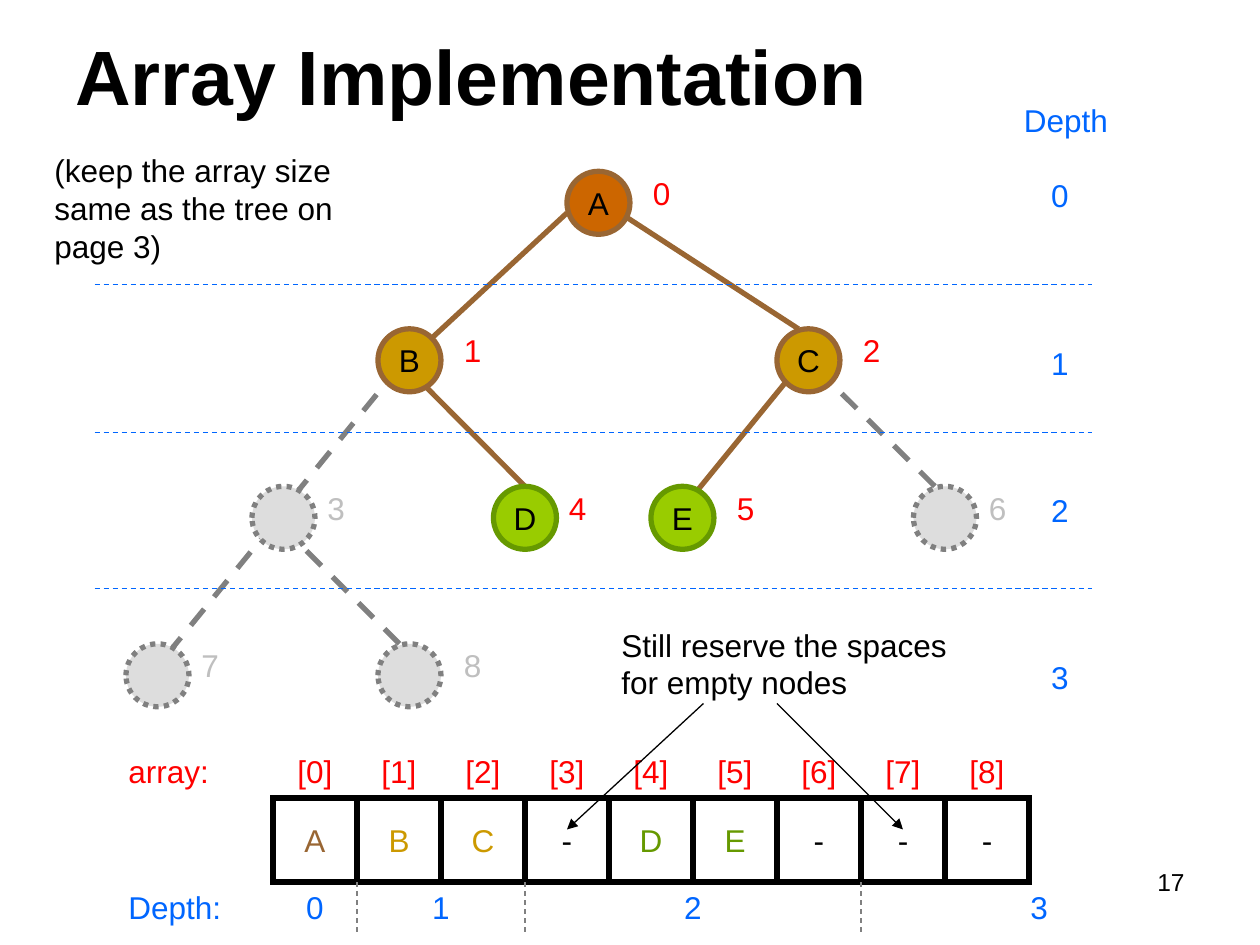
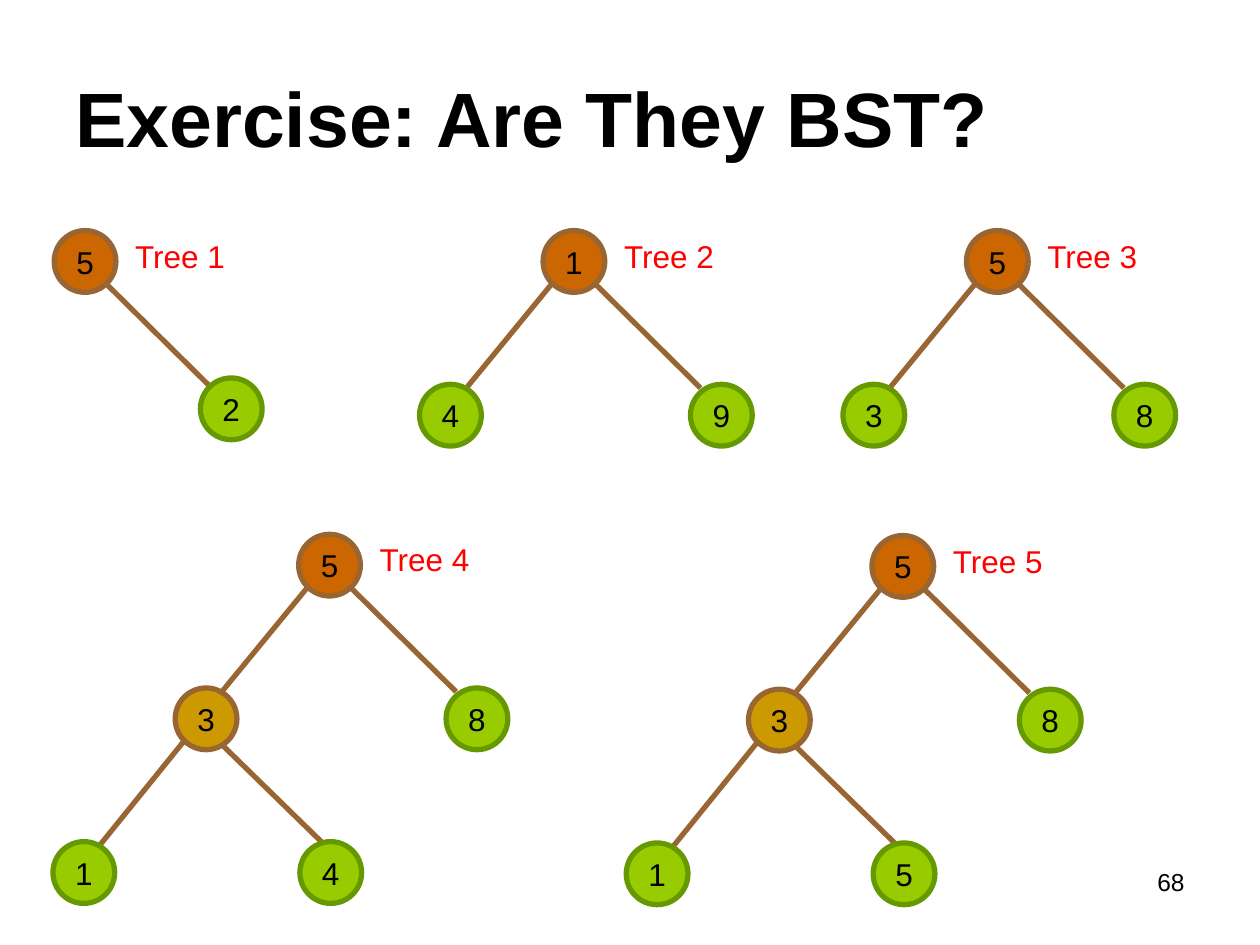
from lxml import etree
from pptx import Presentation
from pptx.dml.color import RGBColor
from pptx.enum.dml import MSO_LINE
from pptx.enum.shapes import MSO_CONNECTOR, MSO_SHAPE
from pptx.enum.text import MSO_ANCHOR, PP_ALIGN
from pptx.oxml.ns import qn
from pptx.util import Inches, Pt

LEFT, CENTER, RIGHT = PP_ALIGN.LEFT, PP_ALIGN.CENTER, PP_ALIGN.RIGHT
TOP, MIDDLE = MSO_ANCHOR.TOP, MSO_ANCHOR.MIDDLE
DASH, DOT = MSO_LINE.DASH, MSO_LINE.ROUND_DOT
OVAL, RECT = MSO_SHAPE.OVAL, MSO_SHAPE.RECTANGLE
STRAIGHT = MSO_CONNECTOR.STRAIGHT

BLACK = RGBColor(0x00, 0x00, 0x00)
WHITE = RGBColor(0xFF, 0xFF, 0xFF)
RED = RGBColor(0xFF, 0x00, 0x00)
BLUE = RGBColor(0x00, 0x66, 0xFF)
BROWN = RGBColor(0x99, 0x66, 0x33)
ORANGE = RGBColor(0xCC, 0x66, 0x00)
GOLD = RGBColor(0xCC, 0x99, 0x00)
LIME = RGBColor(0x99, 0xCC, 0x00)
GREEN = RGBColor(0x66, 0x99, 0x00)
GRAY = RGBColor(0x80, 0x80, 0x80)
SILVER = RGBColor(0xBF, 0xBF, 0xBF)
PALE = RGBColor(0xDD, 0xDD, 0xDD)

FONT = "Arial"
LINE_HEIGHT = 0.4

NODE_STYLES = {
    "root": (ORANGE, BROWN, None),
    "inner": (GOLD, BROWN, None),
    "leaf": (LIME, GREEN, None),
    "empty": (PALE, GRAY, DOT),
}
CELL_COLORS = {"root": BROWN, "inner": GOLD, "leaf": GREEN, "empty": BLACK}

# Each join holds the offset in the parent node, then in the child node.
JOINS = {
    "left": ((0.08, 0.41), (0.33, 0.08)),
    "right": ((0.33, 0.41), (0.17, 0)),
    "right inner": ((0.33, 0.41), (0.25, 0)),
    "right outer": ((0.41, 0.41), (0.17, 0)),
    "right edge": ((0.4, 0.41), (0.08, 0.03)),
    "right slope": ((0.4, 0.41), (0.09, 0.08)),
    "root left": ((0, 0.33), (0.42, 0.08)),
    "root right": ((0.42, 0.33), (0.17, 0)),
}

ARRAY_TITLE = "Array Implementation"
SIZE_NOTE = "(keep the array size same as the tree on page 3)"
RESERVE_NOTE = "Still reserve the spaces for empty nodes"
# Label, kind, left in twelfths of an inch, depth, label gap in twelfths.
ARRAY_NODES = [
    ("A", "root", 54, 0, 7),
    ("B", "inner", 36, 1, 7),
    ("C", "inner", 74, 1, 7),
    ("", "empty", 24, 2, 6),
    ("D", "leaf", 47, 2, 6),
    ("E", "leaf", 62, 2, 7),
    ("", "empty", 87, 2, 6),
    ("", "empty", 12, 3, 6),
    ("", "empty", 36, 3, 7),
]
ARRAY_EDGES = [
    (0, 1, "root left"), (0, 2, "root right"), (1, 3, "left"),
    (1, 4, "right inner"), (2, 5, "left"), (2, 6, "right outer"),
    (3, 7, "left"), (3, 8, "right"),
]
DEPTH_TOPS = [1.35, 2.68, 3.85, 5.17]
DEPTH_BOUNDARIES = [2.26, 3.43, 4.67]
DEPTH_COLUMNS = [0.5, 2, 5, 9.12]
DEPTH_STARTS = [1, 3, 7]
RESERVE_ARROWS = [((74, 67), (86, 79)), ((67, 67), (54, 79))]

NODE_SIZE = 0.5
FIRST_DEPTH_TOP, DEPTH_STEP = 1.36, 1.25
CELL_LEFT, CELL_TOP, CELL = 13 / 6, 19 / 3, 2 / 3
INDEX_TOP, DEPTH_ROW_TOP = 5.92, 7

EXERCISE_TITLE = "Exercise: Are They BST?"
EXERCISE_NODE_SIZE = 0.49
BRANCHES = {
    "root": (0, 0),
    "left": (-0.98, 1.22),
    "right": (1.17, 1.22),
    "short right": (1.16, 1.17),
    "left left": (-1.95, 2.44),
    "left right": (0.01, 2.44),
}
BRANCH_EDGES = [
    ("root", "left", "left"), ("root", "right", "right edge"),
    ("root", "short right", "right slope"),
    ("left", "left left", "left"), ("left", "left right", "right"),
]
TREES = [
    ("Tree 1", (0.43, 1.83), {"root": "5", "short right": "2"}),
    ("Tree 2", (4.31, 1.83), {"root": "1", "left": "4", "right": "9"}),
    ("Tree 3", (7.67, 1.83), {"root": "5", "left": "3", "right": "8"}),
    ("Tree 4", (2.37, 4.24), {"root": "5", "left": "3", "right": "8",
                              "left left": "1", "left right": "4"}),
    ("Tree 5", (6.92, 4.25), {"root": "5", "left": "3", "right": "8",
                              "left left": "1", "left right": "5"}),
]


def write(frame, words, color, align, size=18, bold=False):
    paragraph = frame.paragraphs[0]
    paragraph.text = words
    paragraph.alignment = align
    font = paragraph.font
    font.name, font.size, font.bold = FONT, Pt(size), bold
    font.color.rgb = color


def add_label(slide, words, left, top, width, color=BLACK, align=LEFT,
              height=LINE_HEIGHT, anchor=TOP, size=18, bold=False):
    box = slide.shapes.add_textbox(*map(Inches, (left, top, width, height)))
    box.text_frame.word_wrap = True
    box.text_frame.vertical_anchor = anchor
    write(box.text_frame, words, color, align, size, bold)


def add_line(slide, start, end, color, width=0.75, dash=None, arrow=False):
    line = slide.shapes.add_connector(STRAIGHT, *map(Inches, start + end))
    line.line.color.rgb = color
    line.line.width = Pt(width)
    if dash:
        line.line.dash_style = dash
    if arrow:
        etree.SubElement(line.line._get_or_add_ln(), qn("a:tailEnd"), type="triangle")
    etree.SubElement(line._element.spPr, qn("a:effectLst"))


def add_box(slide, outline, words, left, top, size, fill, border, dash, color):
    box = slide.shapes.add_shape(outline, *map(Inches, (left, top, size, size)))
    box.shadow.inherit = False
    box.fill.solid()
    box.fill.fore_color.rgb = fill
    box.line.color.rgb = border
    box.line.width = Pt(3)
    if dash:
        box.line.dash_style = dash
    etree.SubElement(box.line._get_or_add_ln(), qn("a:miter"), lim="800000")
    if words:
        box.text_frame.word_wrap = False
        box.text_frame.vertical_anchor = MIDDLE
        write(box.text_frame, words, color, CENTER)


def add_node(slide, words, kind, place, size):
    add_box(slide, OVAL, words, *place, size, *NODE_STYLES[kind], BLACK)


def add_edge(slide, parent, child, join, color=BROWN, dash=None):
    upper, lower = (tuple(p + d for p, d in zip(place, offset))
                    for place, offset in zip((parent, child), JOINS[join]))
    add_line(slide, lower, upper, color, 3, dash)


def add_slide(deck, title, title_height, number):
    slide = deck.slides.add_slide(deck.slide_layouts[6])
    add_label(slide, number, 7.17, 6.83, 2.33, align=RIGHT, height=0.52, size=14)
    add_label(slide, title, 0.5, 0.3, 9, height=title_height,
              anchor=MIDDLE, size=44, bold=True)
    return slide


def add_array_tree(slide):
    places = [(left / 12, FIRST_DEPTH_TOP + DEPTH_STEP * depth)
              for _, _, left, depth, _ in ARRAY_NODES]
    for parent, child, join in ARRAY_EDGES:
        empty = ARRAY_NODES[child][1] == "empty"
        add_edge(slide, places[parent], places[child], join,
                 GRAY if empty else BROWN, DASH if empty else None)
    for index, (words, kind, _, _, gap) in enumerate(ARRAY_NODES):
        left, top = places[index]
        add_node(slide, words, kind, (left, top), NODE_SIZE)
        add_label(slide, str(index), left + gap / 12, top - 0.03, 0.58,
                  SILVER if kind == "empty" else RED)
    add_label(slide, "Depth", 8, 0.75, 0.92, BLUE, CENTER)
    for depth, top in enumerate(DEPTH_TOPS):
        add_label(slide, str(depth), 8.08, top, 0.5, BLUE, RIGHT)
    for boundary in DEPTH_BOUNDARIES:
        add_line(slide, (0.75, boundary), (8.67, boundary), BLUE, dash=DASH)


def add_array_cells(slide):
    def column(position):
        return CELL_LEFT + CELL * position

    add_label(slide, "array:", 0.92, INDEX_TOP, 1.08, RED)
    add_label(slide, "Depth:", 0.92, DEPTH_ROW_TOP, 1.08, BLUE)
    for index, (words, kind, *_) in enumerate(ARRAY_NODES):
        add_box(slide, RECT, words or "-", column(index), CELL_TOP, CELL,
                WHITE, BLACK, None, CELL_COLORS[kind])
        add_label(slide, f"[{index}]", column(index + 0.5) - 0.25, INDEX_TOP,
                  0.5, RED, CENTER)
    for depth, position in enumerate(DEPTH_COLUMNS):
        add_label(slide, str(depth), column(position) - 0.25, DEPTH_ROW_TOP,
                  0.5, BLUE, CENTER)
    for position in DEPTH_STARTS:
        add_line(slide, (column(position), 7), (column(position), 7.42), GRAY, dash=DASH)


def add_exercise_tree(slide, name, root, values):
    places = {branch: (root[0] + BRANCHES[branch][0], root[1] + BRANCHES[branch][1])
              for branch in values}
    parents = set()
    for parent, child, join in BRANCH_EDGES:
        if child in values:
            parents.add(parent)
            add_edge(slide, places[parent], places[child], join)
    for branch, value in values.items():
        kind = "root" if branch == "root" else "inner" if branch in parents else "leaf"
        add_node(slide, value, kind, places[branch], EXERCISE_NODE_SIZE)
    add_label(slide, name, root[0] + 0.5, root[1], 1, RED, CENTER)


def main():
    deck = Presentation()
    deck.slide_width, deck.slide_height = Inches(10), Inches(7.5)

    array_slide = add_slide(deck, ARRAY_TITLE, 0.58, "17")
    add_array_tree(array_slide)
    add_array_cells(array_slide)
    add_label(array_slide, RESERVE_NOTE, 58 / 12, 59 / 12, 2.83, height=0.7)
    for arrow in RESERVE_ARROWS:
        start, end = (tuple(length / 12 for length in point) for point in arrow)
        add_line(array_slide, start, end, BLACK, arrow=True)
    add_label(array_slide, SIZE_NOTE, 1 / 3, 1.15, 2.67, height=1.01)

    exercise_slide = add_slide(deck, EXERCISE_TITLE, 1.25, "68")
    for tree in TREES:
        add_exercise_tree(exercise_slide, *tree)

    deck.save("out.pptx")


if __name__ == "__main__":
    main()
